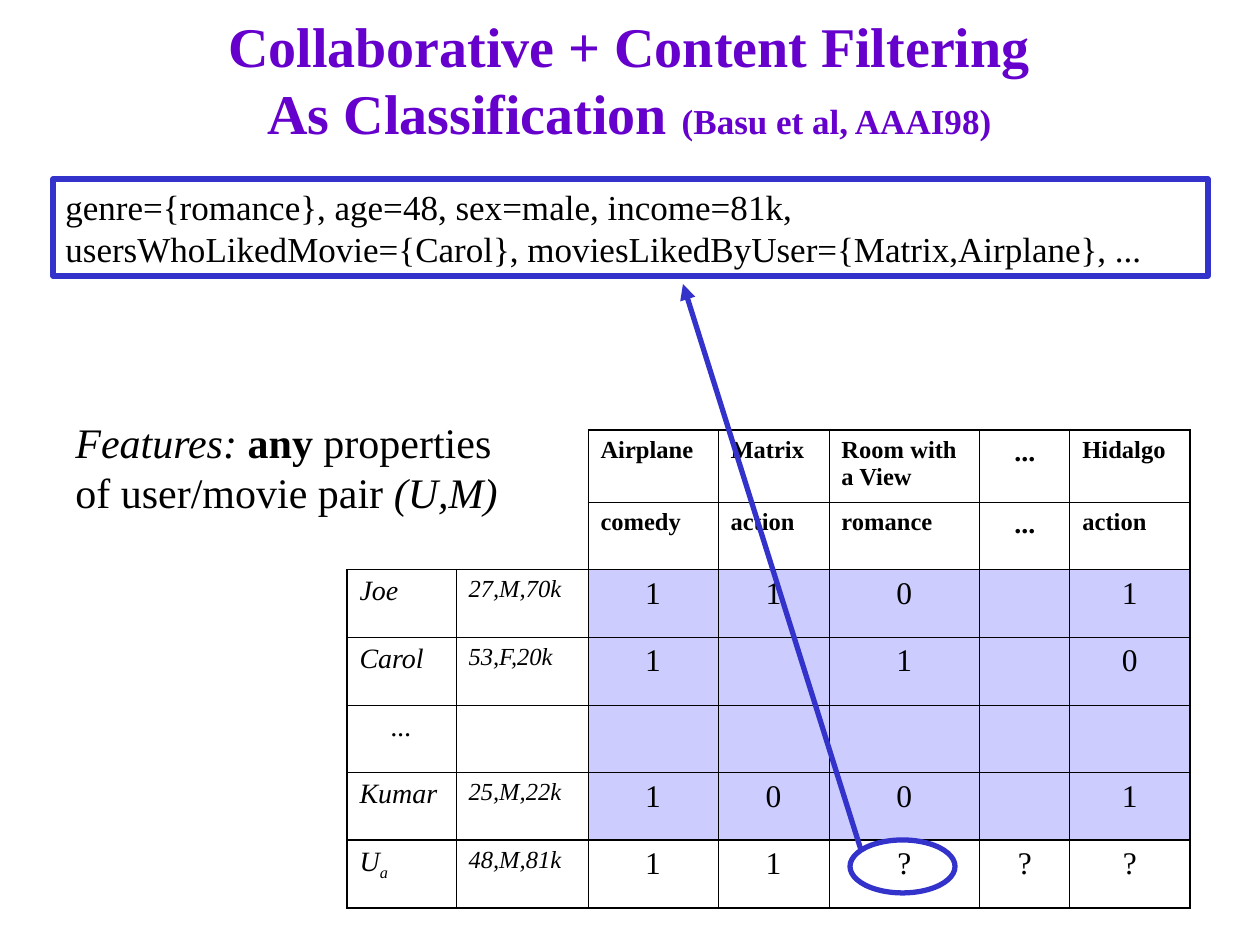
from lxml import etree
from pptx import Presentation
from pptx.dml.color import RGBColor
from pptx.enum.shapes import MSO_CONNECTOR, MSO_SHAPE
from pptx.enum.text import MSO_ANCHOR, MSO_AUTO_SIZE, PP_ALIGN
from pptx.oxml import parse_xml
from pptx.oxml.ns import nsdecls, qn
from pptx.util import Emu, Pt

FONT = "Times New Roman"
BLACK, PURPLE, BLUE, LILAC = "000000", "6600CC", "3333CC", "CCCCFF"
COLUMNS = [109, 132, 130, 111, 151, 90, 120]
HEADER_HEIGHT, BODY_HEIGHT = 72, 406
RATINGS = [
    ["", "", "Airplane", "Matrix", "Room with a View", "...", "Hidalgo"],
    ["", "", "comedy", "action", "romance", "...", "action"],
    ["Joe", "27,M,70k", "1", "1", "0", "", "1"],
    ["Carol", "53,F,20k", "1", "", "1", "", "0"],
    ["...", "", "", "", "", "", ""],
    ["Kumar", "25,M,22k", "1", "0", "0", "", "1"],
    ["U", "48,M,81k", "1", "1", "?", "?", "?"],
]
LAST_ROW, LAST_COL = len(RATINGS) - 1, len(COLUMNS) - 1


def px(n):
    """Turn pixels into EMU."""
    return Emu(round(n * 914400 / 126))


def rgb(value):
    """Turn a hex string into a colour."""
    return RGBColor.from_string(value)


def style(p, size, color=BLACK, bold=None, italic=None, align=PP_ALIGN.LEFT):
    """Format a whole paragraph."""
    p.alignment = align
    p.font.name, p.font.size = FONT, Pt(size)
    p.font.bold, p.font.italic = bold, italic
    p.font.color.rgb = rgb(color)


def add_run(p, text, bold=None, italic=None):
    """Append a run with its own emphasis."""
    r = p.add_run()
    r.text = text
    r.font.bold, r.font.italic = bold, italic
    return r


def add_title(s):
    """Fill the two-line title."""
    sp = s.shapes.title
    sp.left, sp.top, sp.width, sp.height = px(94), px(0), px(1071), px(158)
    tf = sp.text_frame
    tf.auto_size, tf.vertical_anchor = MSO_AUTO_SIZE.NONE, MSO_ANCHOR.MIDDLE
    p = tf.paragraphs[0]
    style(p, 32, PURPLE, bold=True, align=PP_ALIGN.CENTER)
    add_run(p, "Collaborative + Content Filtering")
    p.add_line_break()
    add_run(p, "As Classification ")
    add_run(p, "(Basu et al, AAAI98)").font.size = Pt(20)


def add_outline(s, kind, left, top, width, height):
    """Add an unfilled shape with a thick blue line."""
    sp = s.shapes.add_shape(kind, px(left), px(top), px(width), px(height))
    sp.shadow.inherit = False
    sp.fill.background()
    sp.line.color.rgb, sp.line.width = rgb(BLUE), Pt(3)
    return sp


def add_example(s):
    """Add the framed feature vector."""
    tf = add_outline(s, MSO_SHAPE.RECTANGLE, 53, 179, 1155, 97).text_frame
    tf.word_wrap, tf.vertical_anchor = True, MSO_ANCHOR.TOP
    p = tf.paragraphs[0]
    style(p, 20)
    add_run(p, "genre={romance}, age=48, sex=male, income=81k, "
               "usersWhoLikedMovie={Carol}, moviesLikedByUser={Matrix,Airplane}, ...")


def add_features(s):
    """Add the note on features."""
    tf = s.shapes.add_textbox(px(63), px(410), px(472), px(113)).text_frame
    tf.word_wrap = True
    p = tf.paragraphs[0]
    style(p, 24)
    add_run(p, "Features: ", italic=True)
    add_run(p, "any ", bold=True)
    add_run(p, "properties of user/movie pair ")
    add_run(p, "(U,M)", italic=True)


def add_arrow(s, x1, y1, x2, y2):
    """Add a blue arrow."""
    line = s.shapes.add_connector(MSO_CONNECTOR.STRAIGHT, px(x1), px(y1), px(x2), px(y2))
    line.line.color.rgb, line.line.width = rgb(BLUE), Pt(3)
    etree.SubElement(line.line._get_or_add_ln(), qn("a:tailEnd"), type="triangle")
    etree.SubElement(line._element.spPr, qn("a:effectLst"))


def set_borders(cell, row, col):
    """Draw a cell's four borders, leaving the empty corner open."""
    corner = row < 2 and col < 2
    sides = {
        "L": (not corner, col == 0),
        "R": (not corner or col == 1, col == LAST_COL),
        "T": (not corner, row in (0, LAST_ROW)),
        "B": (not corner or row == 1, row >= LAST_ROW - 1),
    }
    tc_pr = cell._tc.get_or_add_tcPr()
    for i, (side, (shown, thick)) in enumerate(sides.items()):
        paint = f'<a:solidFill><a:srgbClr val="{BLACK}"/></a:solidFill>' if shown else "<a:noFill/>"
        width = Pt(1.08 if thick else 0.45)
        tc_pr.insert(i, parse_xml(f'<a:ln{side} {nsdecls("a")} w="{width}">{paint}</a:ln{side}>'))


def fill_cell(cell, row, col, text):
    """Write and format one cell."""
    if 2 <= row < LAST_ROW and col >= 2:
        cell.fill.solid()
        cell.fill.fore_color.rgb = rgb(LILAC)
    else:
        cell.fill.background()
    set_borders(cell, row, col)
    header, rating = row < 2, row >= 2 and col >= 2
    if rating:
        size = 18
    else:
        size = 16 if text == "..." or col == 0 else 14
    centred = rating or text == "..."
    p = cell.text_frame.paragraphs[0]
    style(p, size, bold=header, italic=not header and not rating,
          align=PP_ALIGN.CENTER if centred else PP_ALIGN.LEFT)
    if text:
        add_run(p, text)
    if text == "U":
        add_run(p, "a")._r.get_or_add_rPr().set("baseline", "-25000")


def add_ratings(s):
    """Add the table of users, movies and ratings."""
    frame = s.shapes.add_table(len(RATINGS), len(COLUMNS), px(347), px(430),
                               px(sum(COLUMNS)), px(HEADER_HEIGHT + BODY_HEIGHT))
    table = frame.table
    table.first_row = table.horz_banding = False
    for column, width in zip(table.columns, COLUMNS):
        column.width = px(width)
    for i, values in enumerate(RATINGS):
        table.rows[i].height = px(BODY_HEIGHT / LAST_ROW if i else HEADER_HEIGHT)
        for j, text in enumerate(values):
            fill_cell(table.cell(i, j), i, j, text)


def main():
    """Build the slide."""
    prs = Presentation()
    prs.slide_width, prs.slide_height = px(1260), px(945)
    s = prs.slides.add_slide(prs.slide_layouts[5])
    add_title(s)
    add_ratings(s)
    add_features(s)
    add_example(s)
    add_arrow(s, 861, 850, 683, 284)
    add_outline(s, MSO_SHAPE.OVAL, 850, 840, 105, 53)
    prs.save("out.pptx")


if __name__ == "__main__":
    main()
